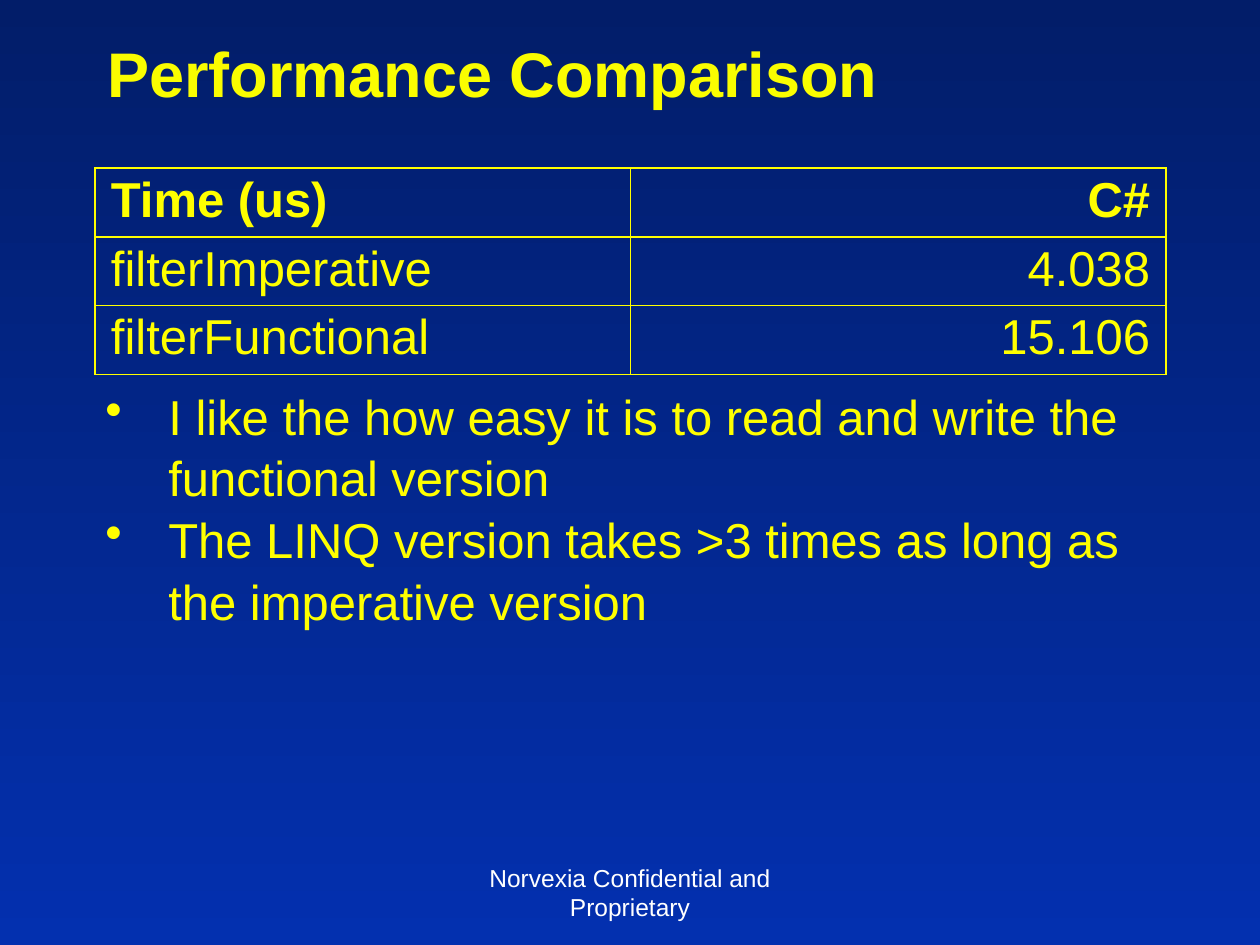
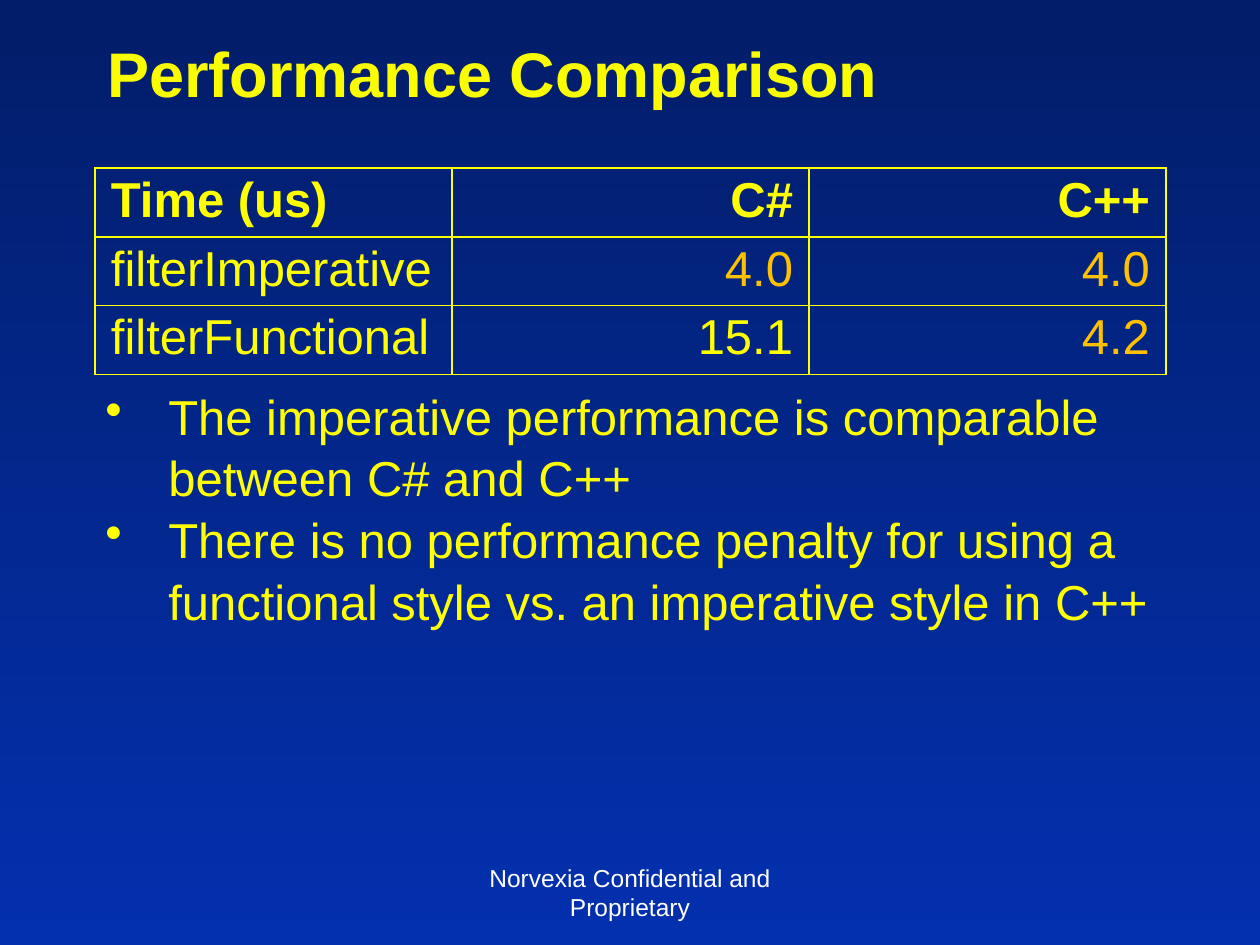
from lxml import etree
from pptx import Presentation
from pptx import util as u
from pptx.dml.color import RGBColor
from pptx.enum import text
from pptx.oxml.ns import qn

SCALE = 914400 / 126
FONT = "Arial"
HUES = {
    "top": "021D69",
    "base": "0330AF",
    "title": "FAFD00",
    "body": "FFFF00",
    "good": "FFC000",
    "foot": "FFFFFF",
}
TITLE = "Performance Comparison"
FOOTER = "Norvexia Confidential and Proprietary"
LEFT, RIGHT = text.PP_ALIGN.LEFT, text.PP_ALIGN.RIGHT

SLIDES = [
    (
        [
            ["Time (us)", "C#"],
            ["filterImperative", "4.038"],
            ["filterFunctional", "15.106"],
        ],
        set(),
        [
            "I like the how easy it is to read and write the functional version",
            "The LINQ version takes >3 times as long as the imperative version",
        ],
    ),
    (
        [
            ["Time (us)", "C#", "C++"],
            ["filterImperative", "4.0", "4.0"],
            ["filterFunctional", "15.1", "4.2"],
        ],
        {(1, 1), (1, 2), (2, 2)},
        [
            "The imperative performance is comparable between C# and C++",
            "There is no performance penalty for using a functional style "
            "vs. an imperative style in C++",
        ],
    ),
]


def px(n):
    return u.Emu(round(n * SCALE))


def hue(name):
    return RGBColor.from_string(HUES[name])


def style(para, size, color, bold=False, align=LEFT):
    para.alignment = align
    font = para.font
    font.name, font.size, font.bold = FONT, u.Pt(size), bold
    font.color.rgb = hue(color)


def paint(master):
    fill = master.background.fill
    fill.gradient()
    fill.gradient_angle = 270
    for stop, pos, name in zip(fill.gradient_stops, (0, 1), ("top", "base")):
        stop.position = pos
        stop.color.rgb = hue(name)


def label(slide, box, lines, anchor, wrap=True, **look):
    frame = slide.shapes.add_textbox(*map(px, box)).text_frame
    frame.word_wrap = wrap
    frame.vertical_anchor = anchor
    frame.text = "\n".join(lines)
    for para in frame.paragraphs:
        style(para, **look)
    return frame


def border(cell):
    props = cell._tc.get_or_add_tcPr()
    for i, side in enumerate(("lnL", "lnR", "lnT", "lnB")):
        line = etree.Element(qn("a:" + side), w=str(u.Pt(1)))
        fill = etree.SubElement(line, qn("a:solidFill"))
        etree.SubElement(fill, qn("a:srgbClr"), val=HUES["body"])
        props.insert(i, line)


def grid(slide, data, marks):
    rows, cols = len(data), len(data[0])
    box = map(px, (95, 168, 1071, 67 * rows))
    table = slide.shapes.add_table(rows, cols, *box).table
    table.first_row = table.horz_banding = False
    for col in table.columns:
        col.width = px(1071 / cols)
    for r, row in enumerate(data):
        for c, value in enumerate(row):
            cell = table.cell(r, c)
            cell.text = value
            cell.margin_left = cell.margin_right = px(16)
            cell.margin_top = cell.margin_bottom = px(5)
            cell.fill.background()
            border(cell)
            color = "good" if (r, c) in marks else "body"
            style(cell.text_frame.paragraphs[0], 28, color, r == 0,
                  RIGHT if c else LEFT)


def points(slide, lines):
    frame = label(slide, (93, 377, 1084, 250), lines, text.MSO_ANCHOR.TOP,
                  size=28, color="body")
    for para in frame.paragraphs:
        para.line_spacing = 1.05
        props = para._p.get_or_add_pPr()
        props.set("marL", str(px(63)))
        props.set("indent", str(px(-63)))
        mark = etree.Element(qn("a:buChar"), char="•")
        props.find(qn("a:defRPr")).addprevious(mark)


def main():
    deck = Presentation()
    deck.slide_width, deck.slide_height = px(1260), px(945)
    paint(deck.slide_master)
    for data, marks, lines in SLIDES:
        slide = deck.slides.add_slide(deck.slide_layouts[6])
        label(slide, (95, 32, 1071, 84), [TITLE], text.MSO_ANCHOR.BOTTOM,
              size=36, color="title", bold=True)
        grid(slide, data, marks)
        label(slide, (430, 861, 400, 63), [FOOTER], text.MSO_ANCHOR.MIDDLE,
              wrap=False, size=14, color="foot", align=text.PP_ALIGN.CENTER)
        points(slide, lines)
    deck.save("out.pptx")


main()
